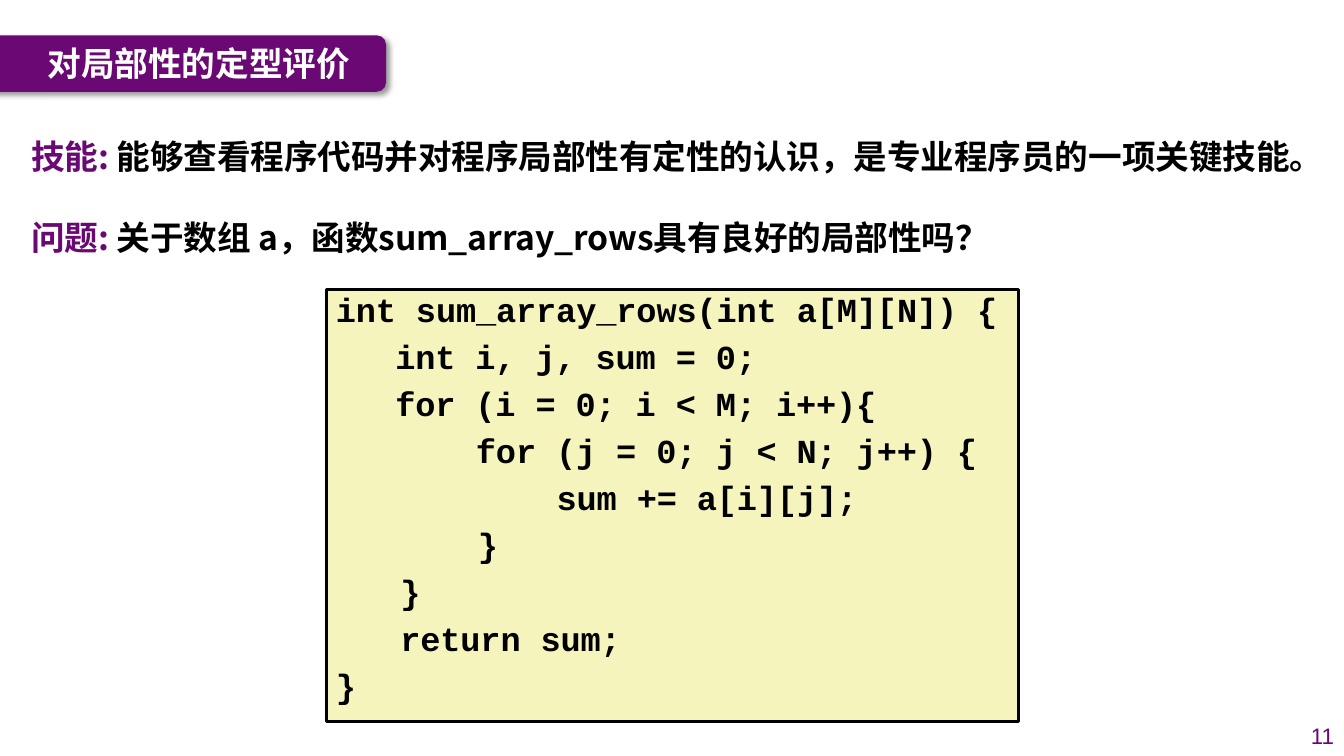
import lxml.etree
import pptx
import pptx.dml.color
import pptx.enum.shapes
import pptx.enum.text
import pptx.oxml.ns
import pptx.util

COLOURS = {"purple": "6A0874", "black": "000000", "white": "FFFFFF", "cream": "F6F4BD"}
WIDTH, HEIGHT = 13.33, 7.5
SANS, MONO = "Noto Sans CJK SC", "Courier New"
ALIGN = pptx.enum.text.PP_ALIGN
MIDDLE = pptx.enum.text.MSO_ANCHOR.MIDDLE
TOP = pptx.enum.text.MSO_ANCHOR.TOP
CODE = [
    (0.09, "int sum_array_rows(int a[M][N]) {"),
    (0.68, "int i, j, sum = 0;"),
    (0.68, "for (i = 0; i < M; i++){"),
    (1.48, "for (j = 0; j < N; j++) {"),
    (2.28, "sum += a[i][j];"),
    (1.5, "}"),
    (0.73, "}"),
    (0.73, "return sum;"),
    (0.09, "}"),
]
STATEMENTS = [
    ("技能: ", "能够查看程序代码并对程序局部性有定性的认识，是专业程序员的一项关键技能。"),
    ("问题: ", "关于数组 a，函数sum_array_rows具有良好的局部性吗？"),
]


def assign(target, values):
    """Set every attribute named in a dict of format values."""
    for name, value in values.items():
        setattr(target, name, value)


def colour(name):
    """Return the named colour."""
    return pptx.dml.color.RGBColor.from_string(COLOURS[name])


def area(left, top, width, height):
    """Turn percentages of the slide's size into lengths."""
    shares = {"left": (left, WIDTH), "top": (top, HEIGHT),
              "width": (width, WIDTH), "height": (height, HEIGHT)}
    return {name: pptx.util.Inches(share * whole / 100)
            for name, (share, whole) in shares.items()}


def prepare(box, anchor, inset=0.0, wrap=True):
    """Format a text frame and return it."""
    frame = box.text_frame
    margins = {f"margin_{side}": pptx.util.Inches(inset)
               for side in ("left", "right", "top", "bottom")}
    assign(frame, {"auto_size": pptx.enum.text.MSO_AUTO_SIZE.NONE, "word_wrap": wrap,
                   "vertical_anchor": anchor, **margins})
    return frame


def add_para(frame, position, spans, family, size=24, bold=True, indent=0.0,
             spacing=0, **layout):
    """Write one paragraph of coloured spans without a bullet."""
    para = frame.add_paragraph() if position else frame.paragraphs[0]
    assign(para, {"alignment": ALIGN.LEFT, "space_before": pptx.util.Pt(0), **layout})
    properties = para._p.get_or_add_pPr()
    properties.set("marL", str(pptx.util.Inches(indent)))
    properties.set("indent", "0")
    lxml.etree.SubElement(properties, pptx.oxml.ns.qn("a:buNone"))
    for text, tint in spans:
        span = para.add_run()
        span.text = text
        assign(span.font, {"name": family, "size": pptx.util.Pt(size), "bold": bold})
        span.font.color.rgb = colour(tint)
        marks = span._r.get_or_add_rPr()
        marks.set("spc", str(spacing))
        east = lxml.etree.SubElement(marks, pptx.oxml.ns.qn("a:ea"))
        east.set("typeface", family)


def add_panel(page, kind, place, fill):
    """Add a filled shape without outline or shadow."""
    panel = page.shapes.add_shape(kind, **place)
    panel.shadow.inherit = False
    panel.fill.solid()
    panel.fill.fore_color.rgb = colour(fill)
    panel.line.fill.background()
    return panel


def add_banner(page):
    """Add the shadowed title banner behind the placeholders."""
    kind = pptx.enum.shapes.MSO_SHAPE.ROUNDED_RECTANGLE
    banner = add_panel(page, kind, area(-1.5, 4.67, 30.23, 7.47), "purple")
    effects = banner._element.spPr.find(pptx.oxml.ns.qn("a:effectLst"))
    effects.append(pptx.oxml.parse_xml(
        f'<a:outerShdw {pptx.oxml.ns.nsdecls("a")} blurRad="{pptx.util.Pt(4)}" '
        f'dist="{pptx.util.Pt(3)}" dir="2700000" algn="tl" rotWithShape="0">'
        f'<a:srgbClr val="{COLOURS["black"]}"><a:alpha val="40000"/></a:srgbClr>'
        '</a:outerShdw>'))
    page.shapes._spTree.insert(2, banner._element)


def add_title(page):
    """Fill the title placeholder."""
    title = page.shapes.title
    assign(title, area(2.78, 4.67, 25.13, 7.33))
    add_para(prepare(title, MIDDLE, 0.1), 0, [("对局部性的定型评价", "white")], SANS)


def add_statements(page):
    """Fill the body placeholder with labelled statements."""
    body = page.placeholders[1]
    assign(body, area(2.25, 15.33, 97.75, 17.87))
    frame = prepare(body, TOP)
    for position, (label, statement) in enumerate(STATEMENTS):
        add_para(frame, position, [(label, "purple"), (statement, "black")], SANS,
                 indent=0.01, spacing=-8, line_spacing=1.5,
                 space_before=pptx.util.Pt(14.4 if position else 5.8))


def add_code(page):
    """Add the framed program listing."""
    kind = pptx.enum.shapes.MSO_SHAPE.RECTANGLE
    listing = add_panel(page, kind, area(24.31, 38.27, 51.46, 57.2), "cream")
    listing.line.color.rgb = colour("black")
    listing.line.width = pptx.util.Pt(2)
    frame = prepare(listing, TOP)
    for position, (indent, text) in enumerate(CODE):
        add_para(frame, position, [(text, "black")], MONO, indent=indent, spacing=-8,
                 space_before=pptx.util.Pt(4.7 if position else 1.8))


def add_number(page):
    """Add the page number in the lower right corner."""
    box = page.shapes.add_textbox(**area(95.87, 94.67, 4.13, 5.33))
    add_para(prepare(box, MIDDLE, 0.1, False), 0, [("11", "purple")], "Arial", size=16,
             bold=False, alignment=ALIGN.RIGHT)


def main():
    """Build the slide and save it."""
    deck = pptx.Presentation()
    assign(deck, {"slide_width": pptx.util.Inches(WIDTH),
                  "slide_height": pptx.util.Inches(HEIGHT)})
    page = deck.slides.add_slide(deck.slide_layouts[1])
    add_banner(page)
    add_title(page)
    add_statements(page)
    add_code(page)
    add_number(page)
    deck.save("out.pptx")


if __name__ == "__main__":
    main()
